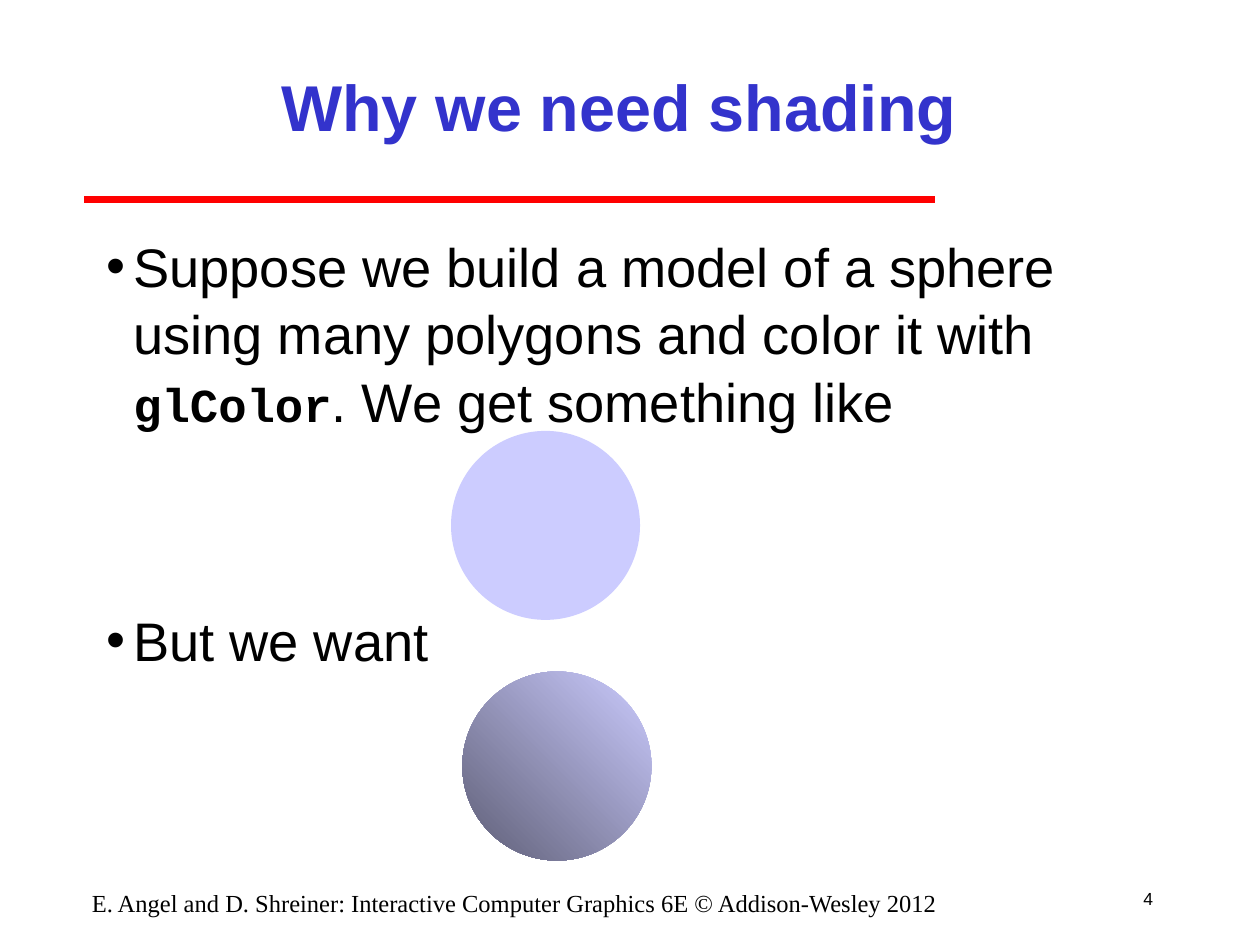
from lxml.etree import SubElement
from pptx import Presentation
from pptx.dml.color import RGBColor
from pptx.enum.shapes import MSO_CONNECTOR, MSO_SHAPE
from pptx.enum.text import MSO_ANCHOR, PP_ALIGN
from pptx.oxml.ns import qn
from pptx.util import Inches, Pt

TITLE = "Why we need shading"
BULLETS = [
    [("Suppose we build a model of a sphere using many polygons and color it with ", "body"),
     ("glColor", "code"),
     (". We get something like", "body")],
    [("But we want", "body")],
]
FOOTER = "E. Angel and D. Shreiner: Interactive Computer Graphics 6E © Addison-Wesley 2012"
PAGE_NUMBER = "4"

THEME = {
    "rule": "FF0000",
    "light": "CCCCFF",
    "dark": "5E5E76",
    "title": {"name": "Arial", "size": 37, "bold": True, "color": "3333CC"},
    "body": {"name": "Arial", "size": 31, "bold": False, "color": "000000"},
    "code": {"name": "Courier New", "size": 27, "bold": True, "color": "000000"},
    "footer": {"name": "Times New Roman", "size": 14, "bold": False, "color": "000000"},
    "number": {"name": "Arial", "size": 10, "bold": False, "color": "000000"},
}
BOXES = {
    "title": (1.5, 0.25, 6.83, 1.17),
    "body": (0.75, 1.78, 8.5, 5.14),
    "footer": (0.5, 7, 7.17, 0.25),
    "number": (8.83, 6.92, 0.42, 0.42),
    "flat sphere": (3.58, 3.42, 1.5, 1.5),
    "shaded sphere": (3.67, 5.33, 1.5, 1.5),
}
RULE = (0.67, 1.58, 7.42, 1.58)
BULLET_INDENT = 0.21
LINE_SPACING = 1.04
SPHERE_GAP = 98  # points left between bullets for the flat sphere


def inches(values):
    return [Inches(value) for value in values]


def add_run(paragraph, text, style):
    run = paragraph.add_run()
    run.text = text
    for key, value in THEME[style].items():
        if key == "color":
            run.font.color.rgb = RGBColor.from_string(value)
        else:
            setattr(run.font, key, Pt(value) if key == "size" else value)


def add_label(slide, text, style, align, anchor):
    frame = slide.shapes.add_textbox(*inches(BOXES[style])).text_frame
    frame.word_wrap = True
    frame.vertical_anchor = anchor
    frame.paragraphs[0].alignment = align
    add_run(frame.paragraphs[0], text, style)


def add_title(slide):
    title = slide.shapes.title
    title.left, title.top, title.width, title.height = inches(BOXES["title"])
    frame = title.text_frame
    frame.vertical_anchor = MSO_ANCHOR.MIDDLE
    frame.paragraphs[0].alignment = PP_ALIGN.CENTER
    add_run(frame.paragraphs[0], TITLE, "title")


def add_rule(slide):
    rule = slide.shapes.add_connector(MSO_CONNECTOR.STRAIGHT, *inches(RULE))
    rule.line.color.rgb = RGBColor.from_string(THEME["rule"])
    rule.line.width = Pt(4)
    SubElement(rule.element.spPr, qn("a:effectLst"))


def add_bullets(slide):
    frame = slide.shapes.add_textbox(*inches(BOXES["body"])).text_frame
    frame.word_wrap = True
    for index, runs in enumerate(BULLETS):
        paragraph = frame.add_paragraph() if index else frame.paragraphs[0]
        paragraph.line_spacing = LINE_SPACING
        paragraph.space_before = Pt(SPHERE_GAP if index else 0)
        properties = paragraph._p.get_or_add_pPr()
        properties.set("marL", str(Inches(BULLET_INDENT)))
        properties.set("indent", str(-Inches(BULLET_INDENT)))
        SubElement(properties, qn("a:buFont"), typeface="Arial")
        SubElement(properties, qn("a:buChar"), char="•")
        for text, style in runs:
            add_run(paragraph, text, style)


def add_sphere(slide, part):
    sphere = slide.shapes.add_shape(MSO_SHAPE.OVAL, *inches(BOXES[part]))
    sphere.shadow.inherit = False
    sphere.line.fill.background()
    return sphere.fill


def add_spheres(slide):
    flat = add_sphere(slide, "flat sphere")
    flat.solid()
    flat.fore_color.rgb = RGBColor.from_string(THEME["light"])

    shaded = add_sphere(slide, "shaded sphere")
    shaded.gradient()
    shaded.gradient_angle = 225
    for stop, position, tone in zip(shaded.gradient_stops, (0, 1), ("light", "dark")):
        stop.position = position
        stop.color.rgb = RGBColor.from_string(THEME[tone])


def main():
    deck = Presentation()
    deck.slide_width, deck.slide_height = inches((10, 7.5))
    slide = deck.slides.add_slide(deck.slide_layouts[5])
    add_rule(slide)
    add_label(slide, PAGE_NUMBER, "number", PP_ALIGN.RIGHT, MSO_ANCHOR.MIDDLE)
    add_title(slide)
    add_bullets(slide)
    add_spheres(slide)
    add_label(slide, FOOTER, "footer", PP_ALIGN.CENTER, MSO_ANCHOR.TOP)
    deck.save("out.pptx")


if __name__ == "__main__":
    main()
